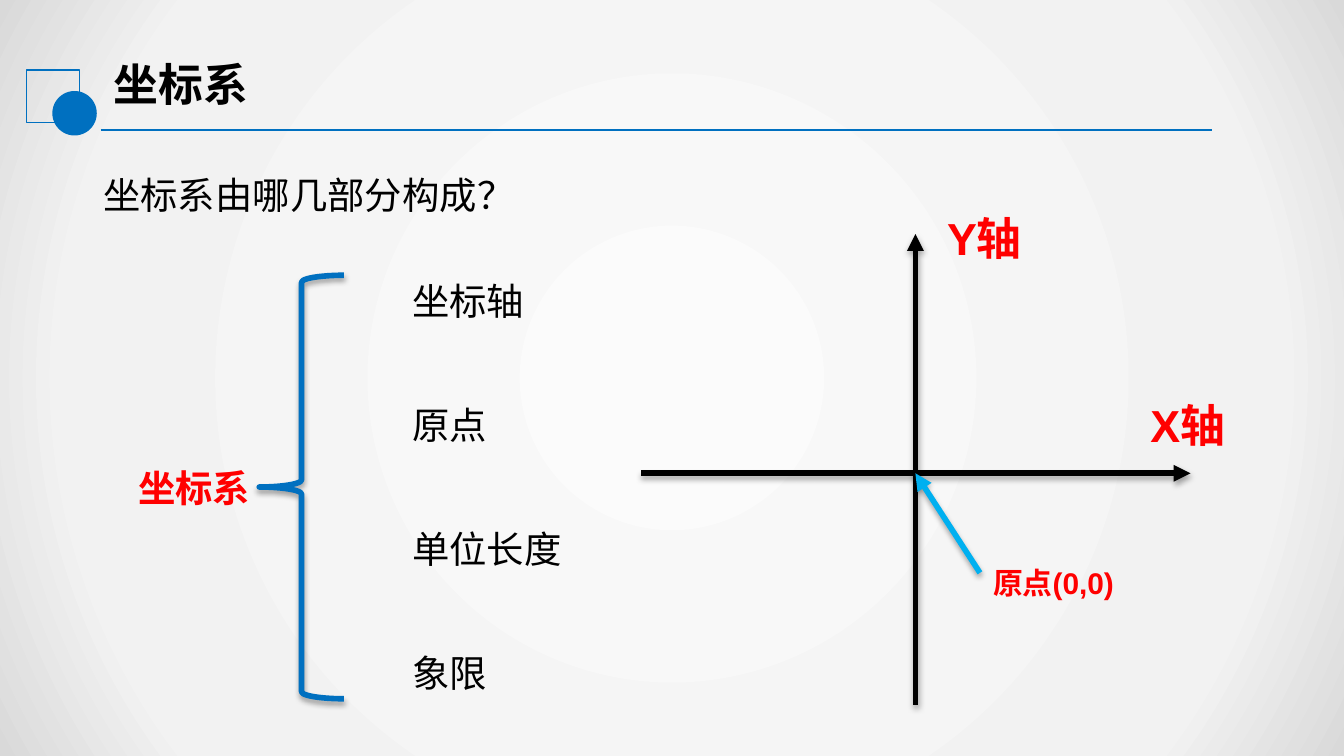
from lxml import etree
from pptx import Presentation
from pptx.dml.color import RGBColor
from pptx.enum.shapes import MSO_CONNECTOR, MSO_SHAPE
from pptx.enum.text import MSO_AUTO_SIZE
from pptx.oxml import parse_xml
from pptx.oxml.ns import nsdecls, qn
from pptx.util import Cm, Pt

RECT, OVAL, BRACE = MSO_SHAPE.RECTANGLE, MSO_SHAPE.OVAL, MSO_SHAPE.LEFT_BRACE
STRAIGHT = MSO_CONNECTOR.STRAIGHT
FIT = MSO_AUTO_SIZE.SHAPE_TO_FIT_TEXT
BLUE, SKY, RED, BLACK = "0070C0", "00B0F0", "FF0000", "000000"
CJK, LATIN = "Noto Sans CJK SC", "Arial"
WIDE, HIGH = 25.4, 14.28

# Content: text, left, top, width, height, format (lengths in cm)
PLAIN = dict(size=20, name=LATIN, bold=False, color=BLACK)
KEY = dict(PLAIN, bold=True, color=RED)
AXIS = dict(KEY, size=24)
TEXTS = [
    ("坐标系", 1.9, 0.94, 11.6, 1.27, dict(AXIS, name=CJK, color=BLACK)),
    ("坐标系由哪几部分构成？", 1.7, 3.12, 7.8, 1.12, PLAIN),
    ("坐标系", 2.36, 8.66, 3.07, 1.12, KEY),
    ("X轴", 21.49, 7.39, 3.2, 1.27, AXIS),
    ("Y轴", 17.65, 3.86, 3.2, 1.27, AXIS),
    ("原点(0,0)", 18.52, 10.54, 3.99, 0.94, dict(KEY, size=16)),
]
PARTS = [("坐标轴", 3.2), ("原点", 2.2), ("单位长度", 3.9), ("象限", 2.5)]
PART_X, PART_Y, STEP = 7.54, 5.13, 2.34

# Lines: start, end, colour, points, is arrow
ZERO = OX, OY = 17.3, 8.94
LINES = [
    ((1.9, 2.46), (22.9, 2.46), BLUE, 1.25, False),
    ((12.12, OY), (22.5, OY), BLACK, 3, True),
    ((OX, 13.31), (OX, 4.42), BLACK, 3, True),
    ((18.52, 10.82), ZERO, SKY, 3, True),
]
STOPS = [(0, "FBFBFB"), (79, "F2F2F2"), (100, "D9D9D9")]


def rgb(code):
    return RGBColor.from_string(code)


def stroke(item, color, width):
    item.line.color.rgb = rgb(color)
    item.line.width = Pt(width)


def effect(item, shade):
    """Give the item a soft drop shadow, or none at all."""
    props = item._element.spPr
    for old in props.findall(qn("a:effectLst")):
        props.remove(old)
    drop = ('<a:outerShdw blurRad="39370" dist="22860" dir="5400000" rotWithShape="0">'
            '<a:srgbClr val="000000"><a:alpha val="35000"/></a:srgbClr></a:outerShdw>')
    props.append(parse_xml(
        f'<a:effectLst {nsdecls("a")}>{drop if shade else ""}</a:effectLst>'))


def add_shape(kind, x, y, w, h, fill=None, line=None, width=0.75, shade=False):
    item = slide.shapes.add_shape(kind, Cm(x), Cm(y), Cm(w), Cm(h))
    if fill:
        item.fill.solid()
        item.fill.fore_color.rgb = rgb(fill)
    else:
        item.fill.background()
    if line:
        stroke(item, line, width)
    else:
        item.line.fill.background()
    effect(item, shade)
    return item


def add_text(text, x, y, w, h, form):
    frame = slide.shapes.add_textbox(Cm(x), Cm(y), Cm(w), Cm(h)).text_frame
    frame.word_wrap = True
    frame.auto_size = FIT
    run = frame.paragraphs[0].add_run()
    run.text = text
    values = dict(form, size=Pt(form["size"]))
    run.font.color.rgb = rgb(values.pop("color"))
    for key, value in values.items():
        setattr(run.font, key, value)
    east = etree.SubElement(run.font._element, qn("a:ea"))
    east.set("typeface", CJK)


def add_line(start, end, color, width, arrow):
    item = slide.shapes.add_connector(STRAIGHT, *map(Cm, start + end))
    stroke(item, color, width)
    if arrow:
        head = etree.SubElement(item.line._get_or_add_ln(), qn("a:tailEnd"))
        head.set("type", "triangle")
    effect(item, arrow)


deck = Presentation()
deck.slide_width, deck.slide_height = Cm(WIDE), Cm(HIGH)
slide = deck.slides.add_slide(deck.slide_layouts[6])

# Backdrop with a round gradient
back = add_shape(RECT, 0, 0, WIDE, HIGH)
stops = "".join(f'<a:gs pos="{pos * 1000}"><a:srgbClr val="{code}"/></a:gs>'
                for pos, code in STOPS)
props = back._element.spPr
props.replace(props.find(qn("a:noFill")), parse_xml(
    f'<a:gradFill {nsdecls("a")} rotWithShape="1"><a:gsLst>{stops}</a:gsLst>'
    '<a:path path="circle"><a:fillToRect l="50000" t="50000" r="50000" b="50000"/>'
    '</a:path></a:gradFill>'))

# Title mark and brace
add_shape(RECT, 0.5, 1.32, 1, 1, line=BLUE)
add_shape(OVAL, 0.99, 1.72, 0.84, 0.84, fill=BLUE)
add_shape(BRACE, 4.9, 5.2, 1.6, 8, line=BLUE, width=3, shade=True)

# Axes, pointer and title rule
for line in LINES:
    add_line(*line)

# Texts and the evenly spaced parts
for item in TEXTS:
    add_text(*item)
for row, (name, width) in enumerate(PARTS):
    add_text(name, PART_X, PART_Y + row * STEP, width, 1.12, PLAIN)

deck.save("out.pptx")
